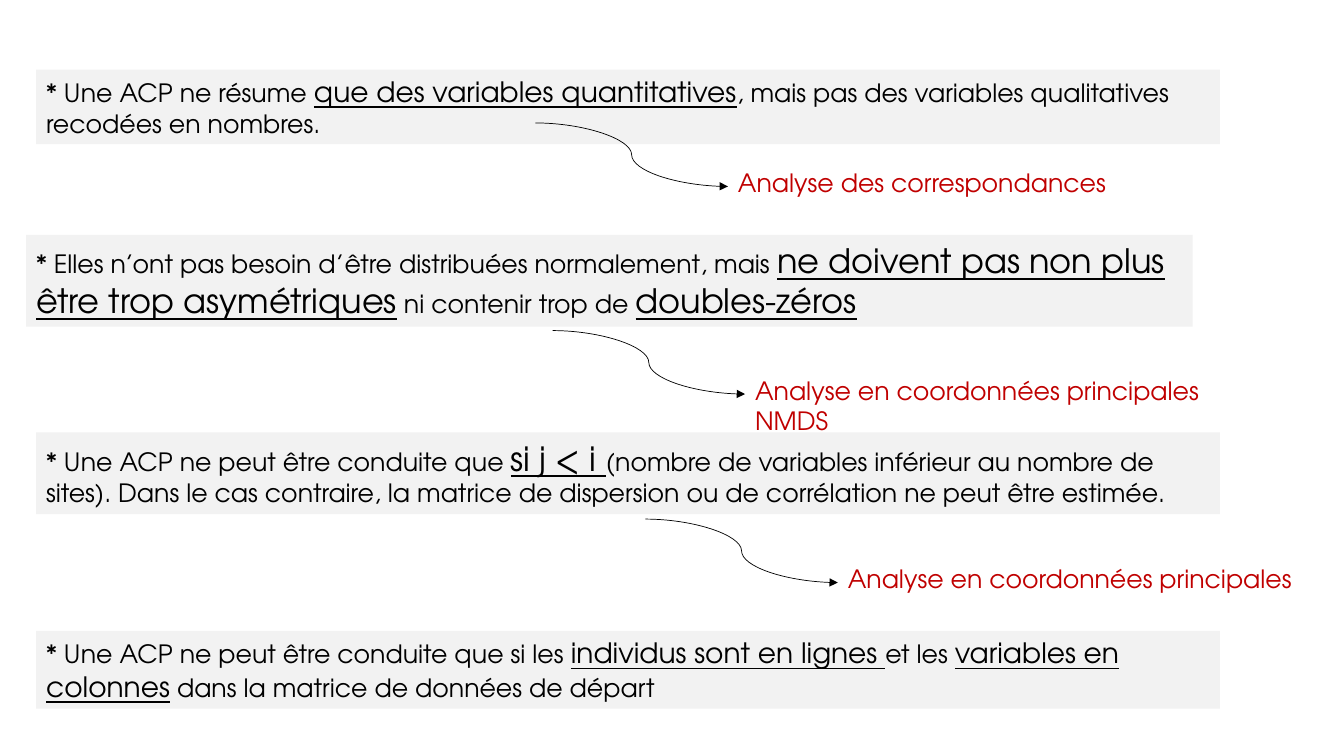
from dataclasses import dataclass

from lxml.etree import SubElement
from pptx import Presentation
from pptx.dml.color import RGBColor
from pptx.enum.shapes import MSO_CONNECTOR, MSO_SHAPE
from pptx.enum.text import MSO_ANCHOR, MSO_AUTO_SIZE, PP_ALIGN
from pptx.oxml.ns import qn
from pptx.slide import Slide
from pptx.text.text import TextFrame
from pptx.util import Inches, Pt


@dataclass(frozen=True)
class Theme:
    font: str = "TeX Gyre Adventor"
    ink: RGBColor = RGBColor(0x00, 0x00, 0x00)
    accent: RGBColor = RGBColor(0xC0, 0x00, 0x00)
    panel: RGBColor = RGBColor(0xF2, 0xF2, 0xF2)
    body_size: float = 18
    line_width: float = 0.5


@dataclass(frozen=True)
class Span:
    text: str
    emphasis_size: float | None = None


@dataclass(frozen=True)
class Rule:
    left: float
    top: float
    width: float
    height: float
    spans: tuple[Span, ...]


@dataclass(frozen=True)
class Alternative:
    left: float
    top: float
    height: float
    lines: tuple[str, ...]


THEME = Theme()
ALTERNATIVE_WIDTH = 4.71
ARROW_WIDTH, ARROW_HEIGHT = 1.91, 0.63
ARROW_TIP_OFFSET = 0.24

RULES = (
    Rule(0.36, 0.69, 11.74, 0.74, (
        Span("* Une ACP ne résume "),
        Span("que des variables quantitatives", 20),
        Span(", mais pas des variables qualitatives recodées en nombres."),
    )),
    Rule(0.26, 2.33, 11.57, 0.91, (
        Span("* Elles n’ont pas besoin d’être distribuées normalement, mais "),
        Span("ne doivent pas non plus être trop asymétriques", 24),
        Span(" ni contenir trop de "),
        Span("doubles-zéros", 24),
    )),
    Rule(0.36, 4.29, 11.74, 0.81, (
        Span("* Une ACP ne peut être conduite que "),
        Span("si j < i ", 24),
        Span("(nombre de variables inférieur au nombre de sites). Dans le cas "
             "contraire, la matrice de dispersion ou de corrélation ne peut être estimée."),
    )),
    Rule(0.36, 6.26, 11.74, 0.77, (
        Span("* Une ACP ne peut être conduite que si les "),
        Span("individus sont en lignes ", 20),
        Span("et les "),
        Span("variables en colonnes", 20),
        Span(" dans la matrice de données de départ"),
    )),
)

ALTERNATIVES = (
    Alternative(7.22, 1.61, 0.4, ("Analyse des correspondances",)),
    Alternative(7.39, 3.67, 0.71, ("Analyse en coordonnées principales", "NMDS")),
    Alternative(8.31, 5.54, 0.4, ("Analyse en coordonnées principales",)),
)


def prepare_frame(frame: TextFrame) -> None:
    frame.word_wrap = True
    frame.auto_size = MSO_AUTO_SIZE.SHAPE_TO_FIT_TEXT
    frame.vertical_anchor = MSO_ANCHOR.TOP


def draw_rule(page: Slide, rule: Rule) -> None:
    box = page.shapes.add_shape(
        MSO_SHAPE.RECTANGLE, Inches(rule.left), Inches(rule.top),
        Inches(rule.width), Inches(rule.height))
    box.shadow.inherit = False
    box.fill.solid()
    box.fill.fore_color.rgb = THEME.panel
    box.line.fill.background()
    prepare_frame(box.text_frame)
    para = box.text_frame.paragraphs[0]
    para.alignment = PP_ALIGN.LEFT
    for span in rule.spans:
        run = para.add_run()
        run.text = span.text
        run.font.name = THEME.font
        run.font.color.rgb = THEME.ink
        run.font.size = Pt(span.emphasis_size or THEME.body_size)
        run.font.underline = span.emphasis_size is not None


def draw_alternative(page: Slide, alternative: Alternative) -> None:
    box = page.shapes.add_textbox(
        Inches(alternative.left), Inches(alternative.top),
        Inches(ALTERNATIVE_WIDTH), Inches(alternative.height))
    prepare_frame(box.text_frame)
    box.text_frame.text = "\n".join(alternative.lines)
    for para in box.text_frame.paragraphs:
        for run in para.runs:
            run.font.name = THEME.font
            run.font.size = Pt(THEME.body_size)
            run.font.color.rgb = THEME.accent


def draw_arrow(page: Slide, alternative: Alternative) -> None:
    """Draw the curved arrow that ends at the first line of an alternative."""
    tip_left, tip_top = alternative.left, alternative.top + ARROW_TIP_OFFSET
    arrow = page.shapes.add_connector(
        MSO_CONNECTOR.CURVE, Inches(tip_left - ARROW_WIDTH),
        Inches(tip_top - ARROW_HEIGHT), Inches(tip_left), Inches(tip_top))
    arrow.line.color.rgb = THEME.ink
    arrow.line.width = Pt(THEME.line_width)
    SubElement(arrow.line._get_or_add_ln(), qn("a:tailEnd"), type="triangle")
    SubElement(arrow._element.spPr, qn("a:effectLst"))


def main() -> None:
    deck = Presentation()
    deck.slide_width, deck.slide_height = Inches(13.33), Inches(7.5)
    page = deck.slides.add_slide(deck.slide_layouts[6])
    for rule in RULES:
        draw_rule(page, rule)
    for alternative in ALTERNATIVES:
        draw_arrow(page, alternative)
        draw_alternative(page, alternative)
    deck.save("out.pptx")


if __name__ == "__main__":
    main()
